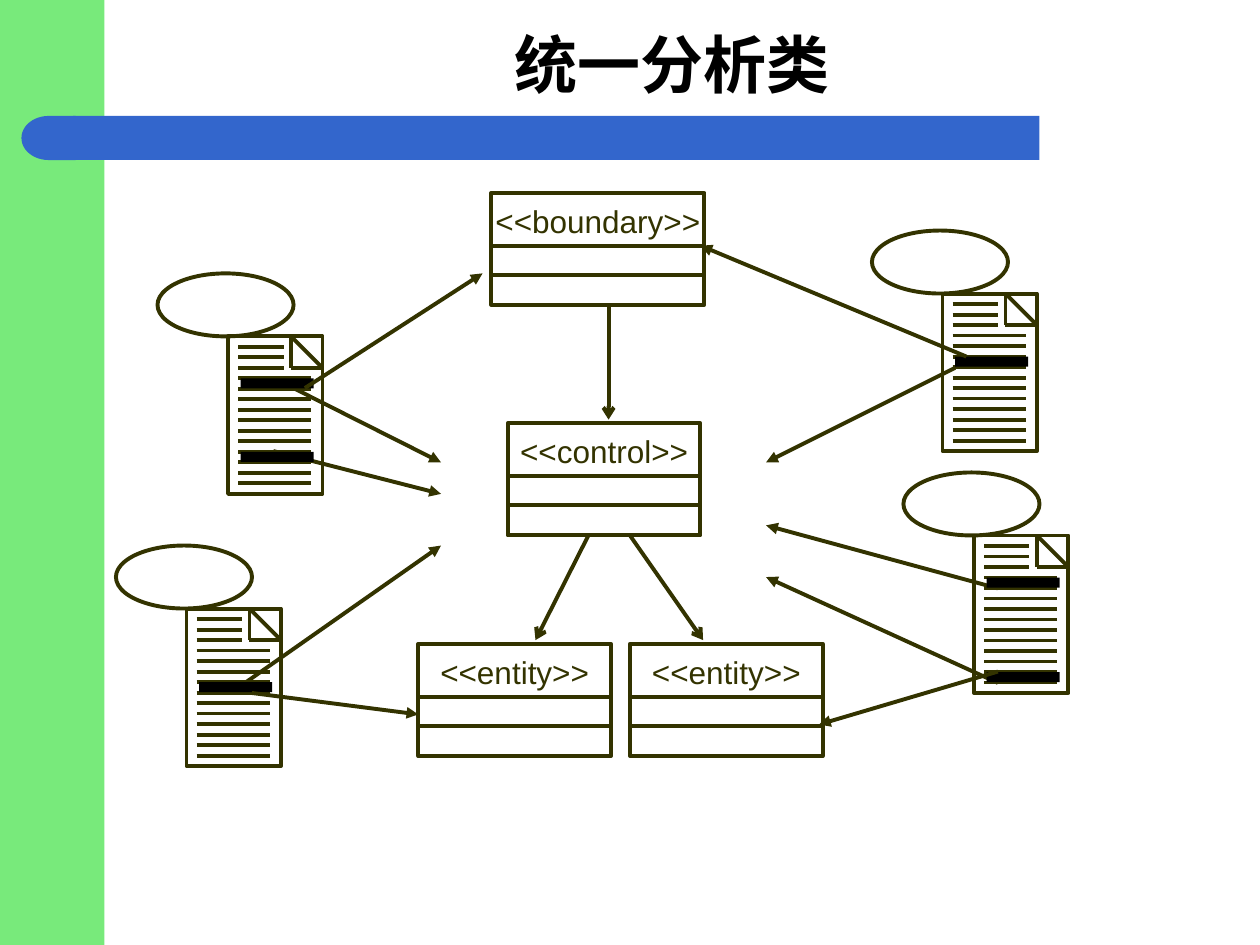
import pptx
import pptx.util
import pptx.dml.color
import pptx.enum.shapes
import pptx.enum.text
import pptx.oxml.ns
from lxml import etree

Inches = pptx.util.Inches
SHAPE = pptx.enum.shapes.MSO_SHAPE
INK = "333300"
BLUE = "3366CC"
ROW = 1 / 12
PAGE_DX, PAGE_DY = 0.56, 0.5


def color(value):
    return pptx.dml.color.RGBColor.from_string(value)


def add_box(s, kind, x, y, w, h, fill=None, line=None):
    sp = s.shapes.add_shape(kind, Inches(x), Inches(y), Inches(w), Inches(h))
    sp.shadow.inherit = False
    if fill:
        sp.fill.solid()
        sp.fill.fore_color.rgb = color(fill)
    else:
        sp.fill.background()
    if line:
        sp.line.color.rgb = color(line)
        sp.line.width = pptx.util.Pt(2.25)
    else:
        sp.line.fill.background()
    return sp


def add_line(s, x1, y1, x2, y2, head=None):
    straight = pptx.enum.shapes.MSO_CONNECTOR.STRAIGHT
    line = s.shapes.add_connector(straight, Inches(x1), Inches(y1), Inches(x2), Inches(y2))
    line.line.color.rgb = color(INK)
    line.line.width = pptx.util.Pt(2.25)
    if head:
        ln = line.line._get_or_add_ln()
        etree.SubElement(ln, pptx.oxml.ns.qn("a:tailEnd"), type=head)
    etree.SubElement(line._element.spPr, pptx.oxml.ns.qn("a:effectLst"))


def add_text(s, text, x, y, w, h, size, font, ink, bold=False, wrap=False):
    tf = s.shapes.add_textbox(Inches(x), Inches(y), Inches(w), Inches(h)).text_frame
    tf.word_wrap = wrap
    tf.margin_left = tf.margin_right = tf.margin_top = tf.margin_bottom = 0
    tf.vertical_anchor = pptx.enum.text.MSO_ANCHOR.MIDDLE
    p = tf.paragraphs[0]
    p.text = text
    p.alignment = pptx.enum.text.PP_ALIGN.CENTER
    r = p.runs[0]
    r.font.size = pptx.util.Pt(size)
    r.font.name = font
    r.font.bold = bold
    r.font.color.rgb = color(ink)


def add_frame(s):
    add_box(s, SHAPE.RECTANGLE, 0, 0, 0.83, 7.5, BLUE and "78EA7B")
    add_box(s, SHAPE.RECTANGLE, 0.58, 0.92, 7.67, 0.35, BLUE)
    add_box(s, SHAPE.FLOWCHART_DELAY, 0.17, 0.92, 0.43, 0.35, BLUE).rotation = 180
    add_text(s, "统一分析类", 0.92, 0.17, 8.83, 0.67, 36, "Times New Roman", "000000", True, True)


def add_use_case(s, x, y):
    add_box(s, SHAPE.OVAL, x, y, 1.08, 0.5, line=INK)
    left, top = x + PAGE_DX, y + PAGE_DY
    add_box(s, SHAPE.RECTANGLE, left, top, 0.75, 1.25, line=INK)
    fold, right, bottom = left + 0.5, left + 0.75, top + 0.25
    add_line(s, fold, top, right, bottom)
    add_line(s, fold, top, fold, bottom)
    add_line(s, right, bottom, fold, bottom)
    for row in range(1, 15):
        width = 0.36 if row <= 3 else 0.58
        row_y = top + row * ROW
        add_line(s, left + 0.08, row_y, left + 0.08 + width, row_y)


def add_highlights(s, x, y, rows):
    for row in rows:
        add_box(s, SHAPE.RECTANGLE, x + PAGE_DX + 0.1, y + PAGE_DY + row * ROW, 0.58, 0.08, "000000")


def add_class(s, stereotype, x, y, w):
    add_box(s, SHAPE.RECTANGLE, x, y, w, 0.89, line=INK)
    for dy in (0.42, 0.65):
        add_line(s, x, y + dy, x + w, y + dy)
    add_text(s, f"<<{stereotype}>>", x, y + 0.07, w, 0.3, 18, "Arial", INK)


def main():
    prs = pptx.Presentation()
    prs.slide_width, prs.slide_height = Inches(10), Inches(7.5)
    s = prs.slides.add_slide(prs.slide_layouts[6])
    add_frame(s)

    use_cases = [
        (0.92, 4.33, [7]),
        (1.25, 2.17, [4, 11]),
        (7.17, 3.75, [4, 13]),
        (6.92, 1.83, [6]),
    ]
    arrows_below = [
        (1.83, 5.5, 3.5, 4.33),
        (2.17, 3.58, 3.5, 3.92),
        (7.92, 4.67, 6.08, 4.17),
        (7.92, 5.42, 6.08, 4.58),
        (2.17, 3, 3.5, 3.67),
        (7.58, 2.92, 6.08, 3.67),
    ]
    arrows_above = [
        (2, 5.5, 3.32, 5.67),
        (7.92, 5.33, 6.5, 5.75),
        (2.42, 3.08, 3.83, 2.17),
        (7.67, 2.83, 5.56, 1.95),
    ]
    associations = [
        (4.83, 2.42, 4.83, 3.33),
        (4.67, 4.25, 4.25, 5.08),
        (5, 4.25, 5.58, 5.08),
    ]
    classes = [
        ("control", 4.03, 3.36, 1.53),
        ("boundary", 3.9, 1.53, 1.69),
        ("entity", 5, 5.11, 1.53),
        ("entity", 3.32, 5.11, 1.53),
    ]
    for x, y, _ in use_cases:
        add_use_case(s, x, y)
    for ends in arrows_below:
        add_line(s, *ends, head="triangle")
    for x, y, rows in use_cases:
        add_highlights(s, x, y, rows)
    for ends in arrows_above:
        add_line(s, *ends, head="triangle")
    for ends in associations:
        add_line(s, *ends, head="arrow")
    for item in classes:
        add_class(s, *item)
    prs.save("out.pptx")


if __name__ == "__main__":
    main()
